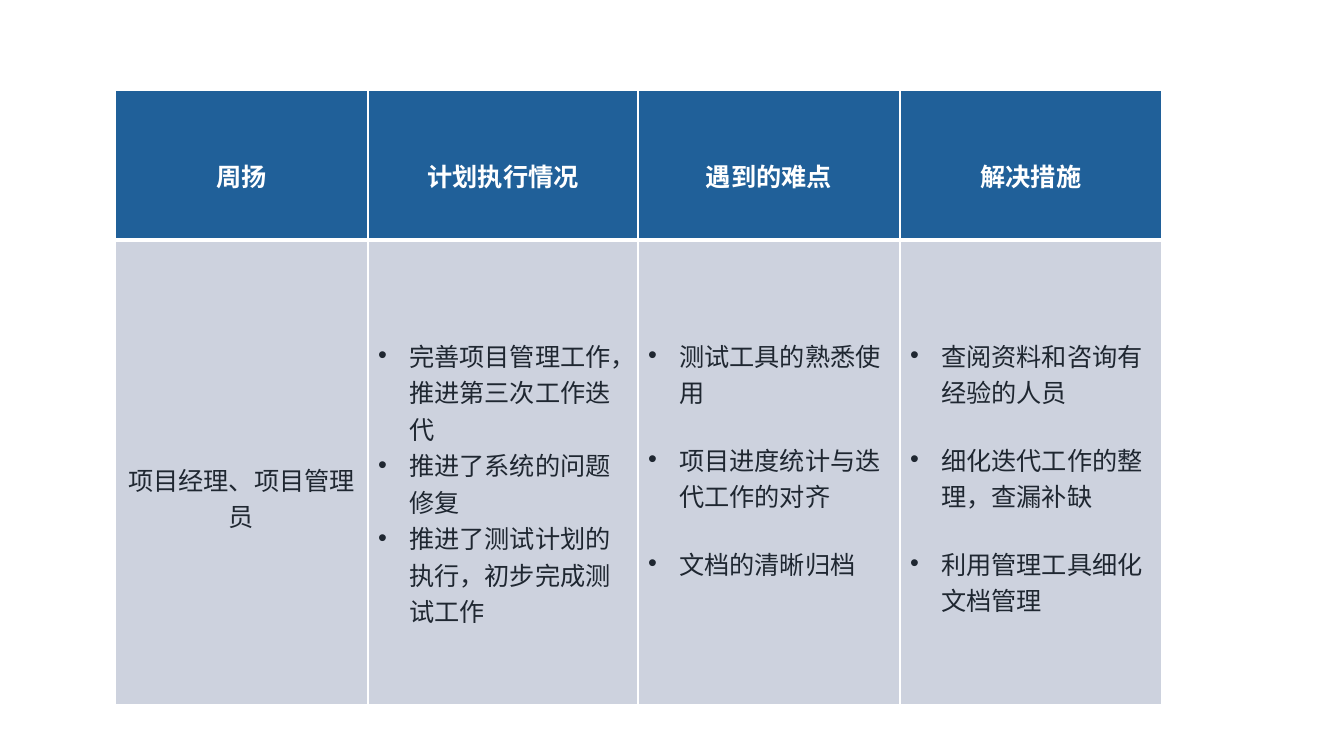
import dataclasses

import lxml.etree
import pptx
import pptx.dml.color
import pptx.enum.text
import pptx.oxml.ns
import pptx.util

EMU_PER_PX = 914400 / 100.8


def px(length):
    return pptx.util.Emu(round(length * EMU_PER_PX))


@dataclasses.dataclass(frozen=True)
class Theme:
    font: str = "Calibri"
    text_size: int = 18
    header_fill: str = "206099"
    header_text: str = "FFFFFF"
    body_fill: str = "CDD2DE"
    body_text: str = "1F2731"
    border: str = "FFFFFF"
    thin: int = 1
    thick: int = 3


THEME = Theme()
COLUMN_WIDTHS = (253, 270, 262, 262)
ROW_HEIGHTS = (150, 465)
HEADER_TOP = 67
ROLE_TOP = 221
LIST_TOP = 97
BULLET_INDENT = 31
ITEM_GAP = 31

HEADERS = ("周扬", "计划执行情况", "遇到的难点", "解决措施")
ROLE = "项目经理、项目管理员"
LISTS = (
    (0, ("完善项目管理工作，推进第三次工作迭代", "推进了系统的问题修复",
         "推进了测试计划的执行，初步完成测试工作")),
    (ITEM_GAP, ("测试工具的熟悉使用", "项目进度统计与迭代工作的对齐", "文档的清晰归档")),
    (ITEM_GAP, ("查阅资料和咨询有经验的人员", "细化迭代工作的整理，查漏补缺",
                "利用管理工具细化文档管理")),
)


def add_child(parent, tag, **attributes):
    return lxml.etree.SubElement(parent, pptx.oxml.ns.qn(tag), attributes)


def set_borders(cell, top, bottom):
    properties = cell._tc.get_or_add_tcPr()
    widths = {"L": THEME.thin, "R": THEME.thin, "T": top, "B": bottom}
    for side, width in widths.items():
        line = add_child(properties, f"a:ln{side}", w=str(pptx.util.Pt(width)))
        add_child(add_child(line, "a:solidFill"), "a:srgbClr", val=THEME.border)


def set_bullet(para):
    properties = para._p.get_or_add_pPr()
    properties.set("marL", str(px(BULLET_INDENT)))
    properties.set("indent", str(-px(BULLET_INDENT)))
    add_child(properties, "a:buFont", typeface="Arial")
    add_child(properties, "a:buChar", char="•")


def fill_cell(cell, texts, text_top, header=False, bulleted=False, gap=0):
    set_borders(cell, THEME.thin if header else THEME.thick,
                THEME.thick if header else THEME.thin)
    cell.fill.solid()
    cell.fill.fore_color.rgb = pptx.dml.color.RGBColor.from_string(
        THEME.header_fill if header else THEME.body_fill)
    cell.margin_top = px(text_top)
    frame = cell.text_frame
    for index, text in enumerate(texts):
        para = frame.add_paragraph() if index else frame.paragraphs[0]
        para.text = text
        if bulleted:
            set_bullet(para)
        else:
            para.alignment = pptx.enum.text.PP_ALIGN.CENTER
        if index and gap:
            para.space_before = px(gap)
        para.font.name = THEME.font
        para.font.size = pptx.util.Pt(THEME.text_size)
        para.font.bold = header
        para.font.color.rgb = pptx.dml.color.RGBColor.from_string(
            THEME.header_text if header else THEME.body_text)


def add_report_table(page, left, top):
    table = page.shapes.add_table(
        len(ROW_HEIGHTS), len(COLUMN_WIDTHS), px(left), px(top),
        px(sum(COLUMN_WIDTHS)), px(sum(ROW_HEIGHTS))).table
    for column, width in zip(table.columns, COLUMN_WIDTHS):
        column.width = px(width)
    for row, height in zip(table.rows, ROW_HEIGHTS):
        row.height = px(height)
    for index, header in enumerate(HEADERS):
        fill_cell(table.cell(0, index), [header], HEADER_TOP, header=True)
    fill_cell(table.cell(1, 0), [ROLE], ROLE_TOP)
    for index, (gap, items) in enumerate(LISTS, start=1):
        fill_cell(table.cell(1, index), items, LIST_TOP, bulleted=True, gap=gap)


def main():
    deck = pptx.Presentation()
    deck.slide_width = px(1344)
    deck.slide_height = px(756)
    page = deck.slides.add_slide(deck.slide_layouts.get_by_name("Blank"))
    add_report_table(page, left=115, top=90)
    deck.save("out.pptx")


if __name__ == "__main__":
    main()
